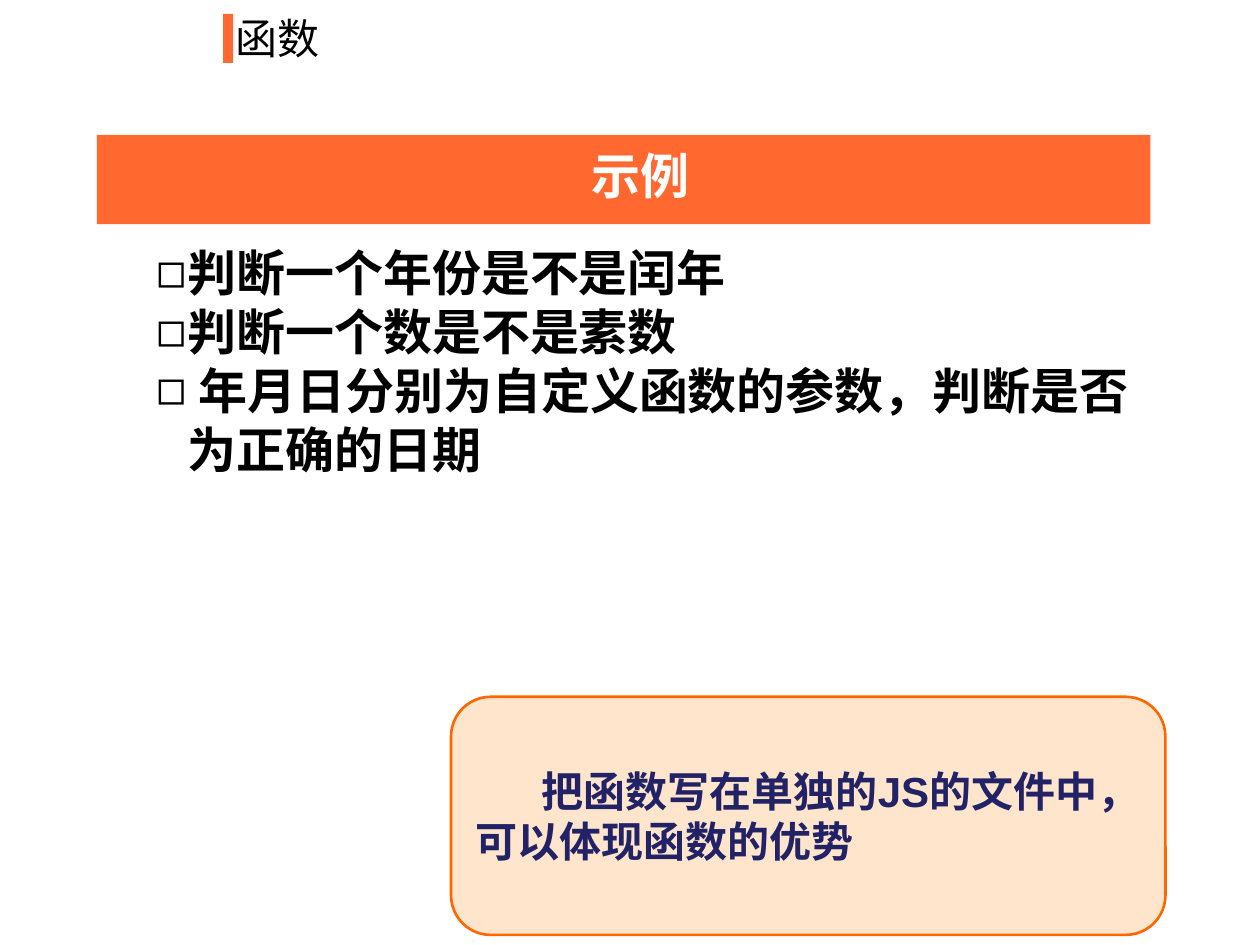
import pptx
import pptx.dml.color
import pptx.enum.shapes
import pptx.enum.text
import pptx.oxml
import pptx.oxml.ns
import pptx.util
from pptx.util import Inches

RGBColor = pptx.dml.color.RGBColor
ORANGE = RGBColor(0xFF, 0x68, 0x2F)
NOTE_LINE = RGBColor(0xFF, 0x66, 0x00)
NOTE_FILL = RGBColor(0xFF, 0xCC, 0x99)
NAVY = RGBColor(0x22, 0x22, 0x67)
BLACK = RGBColor(0x00, 0x00, 0x00)
WHITE = RGBColor(0xFF, 0xFF, 0xFF)
LATIN_FONT = "Arial"
CHINESE_FONT = "Noto Sans CJK SC"
LINE_HEIGHT = 1.2
MSO_SHAPE = pptx.enum.shapes.MSO_SHAPE
PP_ALIGN = pptx.enum.text.PP_ALIGN


def add_element(parent, tag, **attributes):
    element = pptx.oxml.parse_xml(f"<a:{tag} {pptx.oxml.ns.nsdecls('a')}/>")
    for name, value in attributes.items():
        element.set(name, str(value))
    parent.append(element)
    return element


def add_block(slide, kind, left, top, width, height, fill):
    shape = slide.shapes.add_shape(kind, left, top, width, height)
    shape.shadow.inherit = False
    shape.fill.solid()
    shape.fill.fore_color.rgb = fill
    shape.line.fill.background()
    return shape


def add_text_box(slide, left, top, width, height):
    text_frame = slide.shapes.add_textbox(left, top, width, height).text_frame
    text_frame.word_wrap = True
    return text_frame


def format_paragraph(paragraph, size, color, bold, font, alignment=PP_ALIGN.LEFT):
    paragraph.alignment = alignment
    paragraph.line_spacing = pptx.util.Pt(round(size * LINE_HEIGHT, 1))
    for run in paragraph.runs:
        run.font.size = pptx.util.Pt(size)
        run.font.bold = bold
        run.font.color.rgb = color
        run.font.name = font
        add_element(run.font._element, "ea", typeface=CHINESE_FONT)


def set_indent(paragraph, margin, indent):
    properties = paragraph._p.get_or_add_pPr()
    properties.set("marL", str(margin))
    properties.set("indent", str(indent))
    return properties


def add_heading(slide, left, top, width, height, text):
    add_block(slide, MSO_SHAPE.RECTANGLE, left, top + Inches(0.06),
              Inches(0.08), Inches(0.39), ORANGE)
    text_frame = add_text_box(slide, left, top, width, height)
    text_frame.text = text
    format_paragraph(text_frame.paragraphs[0], 24, BLACK, False, CHINESE_FONT)


def add_banner(slide, left, top, width, height, text):
    add_block(slide, MSO_SHAPE.RECTANGLE, left, top, width, height, ORANGE)
    text_frame = add_text_box(slide, left + Inches(0.53), top + Inches(0.04),
                              width - Inches(0.8), height - Inches(0.14))
    text_frame.text = text
    format_paragraph(text_frame.paragraphs[0], 28, WHITE, True, CHINESE_FONT,
                     PP_ALIGN.CENTER)


def add_exercises(slide, left, top, width, height, exercises):
    text_frame = add_text_box(slide, left, top, width, height)
    text_frame.text = "\n".join(exercises)
    for paragraph in text_frame.paragraphs:
        paragraph.level = 1
        properties = set_indent(paragraph, Inches(0.49), Inches(-0.25))
        color = add_element(properties, "buClr")
        add_element(color, "srgbClr", val=BLACK)
        add_element(properties, "buFont", typeface=LATIN_FONT)
        add_element(properties, "buChar", char="◻")
        format_paragraph(paragraph, 28, BLACK, True, LATIN_FONT)


def add_note(slide, left, top, width, height, lines):
    shape = add_block(slide, MSO_SHAPE.FLOWCHART_ALTERNATE_PROCESS,
                      left, top, width, height, NOTE_FILL)
    fill_color = shape.fill._xPr.find(".//" + pptx.oxml.ns.qn("a:srgbClr"))
    add_element(fill_color, "alpha", val=50000)
    shape.line.color.rgb = NOTE_LINE
    shape.line.width = pptx.util.Pt(1.5)
    text_frame = shape.text_frame
    text_frame.word_wrap = False
    text_frame.vertical_anchor = pptx.enum.text.MSO_ANCHOR.MIDDLE
    text_frame.text = "\n".join(lines)
    for index, paragraph in enumerate(text_frame.paragraphs):
        paragraph.level = 1
        set_indent(paragraph, 0, Inches(0.53) if index == 0 else 0)
        format_paragraph(paragraph, 24, NAVY, True, LATIN_FONT)


def main():
    presentation = pptx.Presentation()
    presentation.slide_width = Inches(10)
    presentation.slide_height = Inches(7.5)
    slide = presentation.slides.add_slide(presentation.slide_layouts[6])
    add_heading(slide, Inches(1.77), Inches(0.05), Inches(2.58), Inches(0.5), "函数")
    add_banner(slide, Inches(0.77), Inches(1.07), Inches(8.36), Inches(0.71), "示例")
    add_exercises(slide, Inches(0.9), Inches(1.88), Inches(8.19), Inches(2.44), [
        "判断一个年份是不是闰年",
        "判断一个数是不是素数",
        " 年月日分别为自定义函数的参数，判断是否为正确的日期",
    ])
    add_note(slide, Inches(3.58), Inches(5.53), Inches(5.67), Inches(1.89), [
        "把函数写在单独的JS的文件中，",
        "可以体现函数的优势",
    ])
    presentation.save("out.pptx")


if __name__ == "__main__":
    main()
